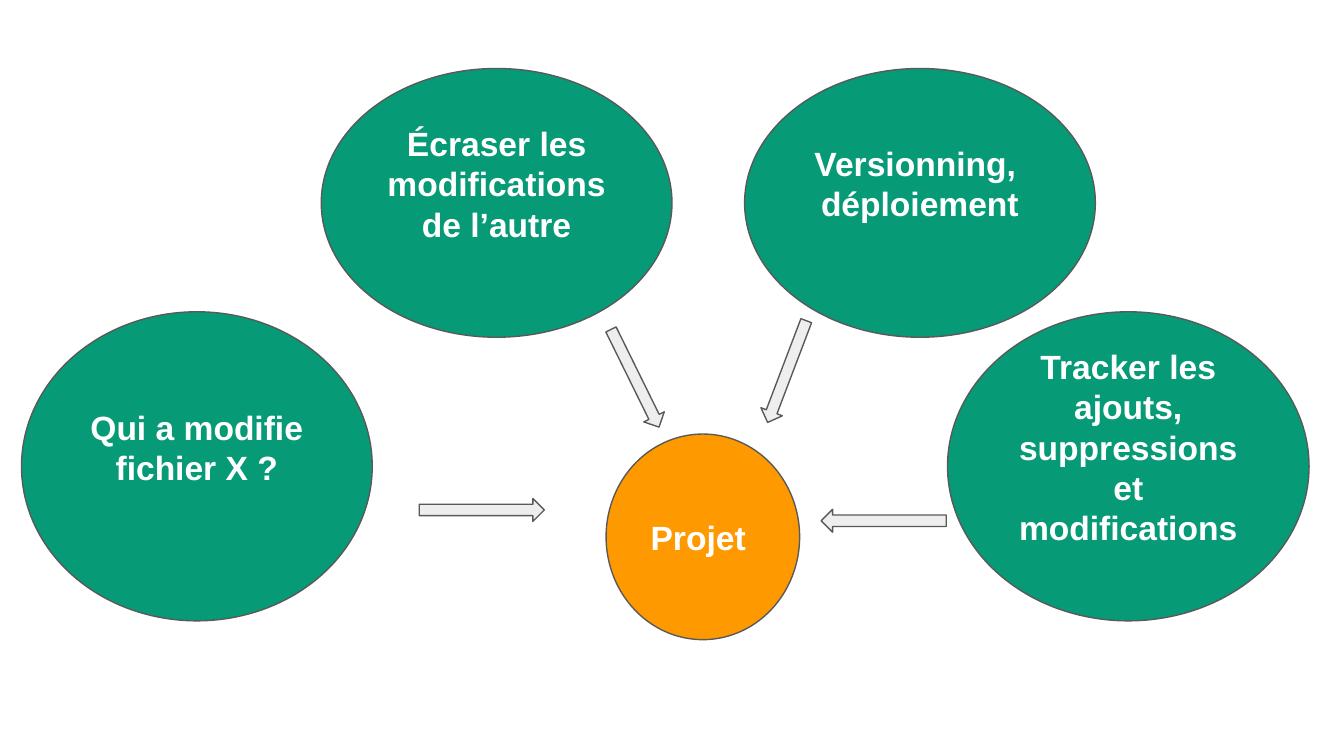
from dataclasses import dataclass

from pptx import Presentation
from pptx import util as u
from pptx.dml.color import RGBColor
from pptx.enum import shapes, text

PX = u.Inches(1) // 100
SLIDE_WIDTH = 1000 * PX
SLIDE_HEIGHT = SLIDE_WIDTH * 9 // 16


@dataclass(frozen=True)
class Theme:
    problem: RGBColor = RGBColor(0x06, 0x9A, 0x77)
    project: RGBColor = RGBColor(0xFF, 0x99, 0x00)
    arrow: RGBColor = RGBColor(0xEE, 0xEE, 0xEE)
    outline: RGBColor = RGBColor(0x59, 0x59, 0x59)
    label: RGBColor = RGBColor(0xFF, 0xFF, 0xFF)
    font: str = "Arial"
    label_size: u.Pt = u.Pt(18)
    outline_width: u.Pt = u.Pt(0.75)


THEME = Theme()
INSET = 10
LABEL_LIFT = 29  # one line of text kept free under each problem


@dataclass(frozen=True)
class Bubble:
    label: str
    left: int
    top: int
    width: int
    height: int
    fill: RGBColor = THEME.problem
    lift: int = LABEL_LIFT


@dataclass(frozen=True)
class Arrow:
    left: int
    top: int
    length: int
    rotation: float = 0
    thickness: int = 17


BUBBLES = [
    Bubble("Qui a modifie fichier X ?", 16, 232, 261, 230),
    Bubble("Écraser les modifications de l’autre", 239, 51, 261, 200),
    Bubble("Tracker les ajouts, suppressions et modifications", 705, 232, 269, 230),
    Bubble("Projet ", 451, 323, 144, 153, THEME.project, 0),
    Bubble("Versionning, \ndéploiement", 554, 51, 261, 200),
]
ARROWS = [
    Arrow(545, 268, 81, 110.8),
    Arrow(312, 371, 93),
    Arrow(611, 379, 93, 180),
    Arrow(432, 273, 81, 63.8),
]


def add_outlined_shape(slide, kind, left: int, top: int, width: int, height: int, fill: RGBColor):
    shape = slide.shapes.add_shape(kind, left * PX, top * PX, width * PX, height * PX)
    shape.shadow.inherit = False
    shape.fill.solid()
    shape.fill.fore_color.rgb = fill
    shape.line.color.rgb = THEME.outline
    shape.line.width = THEME.outline_width
    return shape


def draw_bubble(slide, bubble: Bubble) -> None:
    shape = add_outlined_shape(slide, shapes.MSO_SHAPE.OVAL, bubble.left, bubble.top,
                               bubble.width, bubble.height, bubble.fill)
    frame = shape.text_frame
    frame.word_wrap = True
    frame.vertical_anchor = text.MSO_ANCHOR.MIDDLE
    frame.margin_left = frame.margin_right = frame.margin_top = INSET * PX
    frame.margin_bottom = (INSET + bubble.lift) * PX
    frame.text = bubble.label
    for paragraph in frame.paragraphs:
        paragraph.alignment = text.PP_ALIGN.CENTER
        paragraph.font.name = THEME.font
        paragraph.font.size = THEME.label_size
        paragraph.font.bold = True
        paragraph.font.color.rgb = THEME.label


def draw_arrow(slide, arrow: Arrow) -> None:
    shape = add_outlined_shape(slide, shapes.MSO_SHAPE.RIGHT_ARROW, arrow.left, arrow.top,
                               arrow.length, arrow.thickness, THEME.arrow)
    shape.rotation = arrow.rotation


def main() -> None:
    presentation = Presentation()
    presentation.slide_width = SLIDE_WIDTH
    presentation.slide_height = SLIDE_HEIGHT
    slide = presentation.slides.add_slide(presentation.slide_layouts[6])
    for bubble in BUBBLES:
        draw_bubble(slide, bubble)
    for arrow in ARROWS:
        draw_arrow(slide, arrow)
    presentation.save("out.pptx")


if __name__ == "__main__":
    main()
